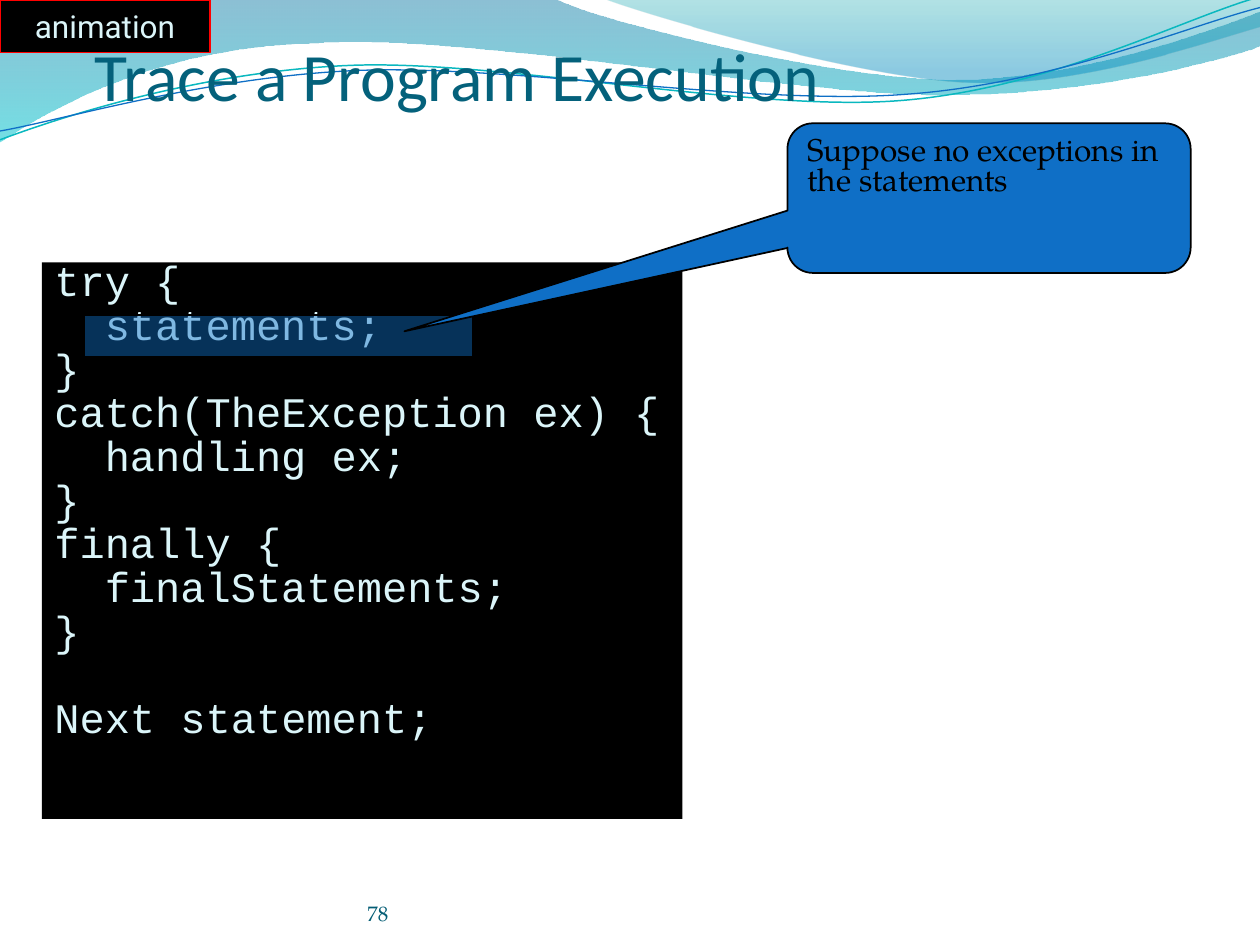
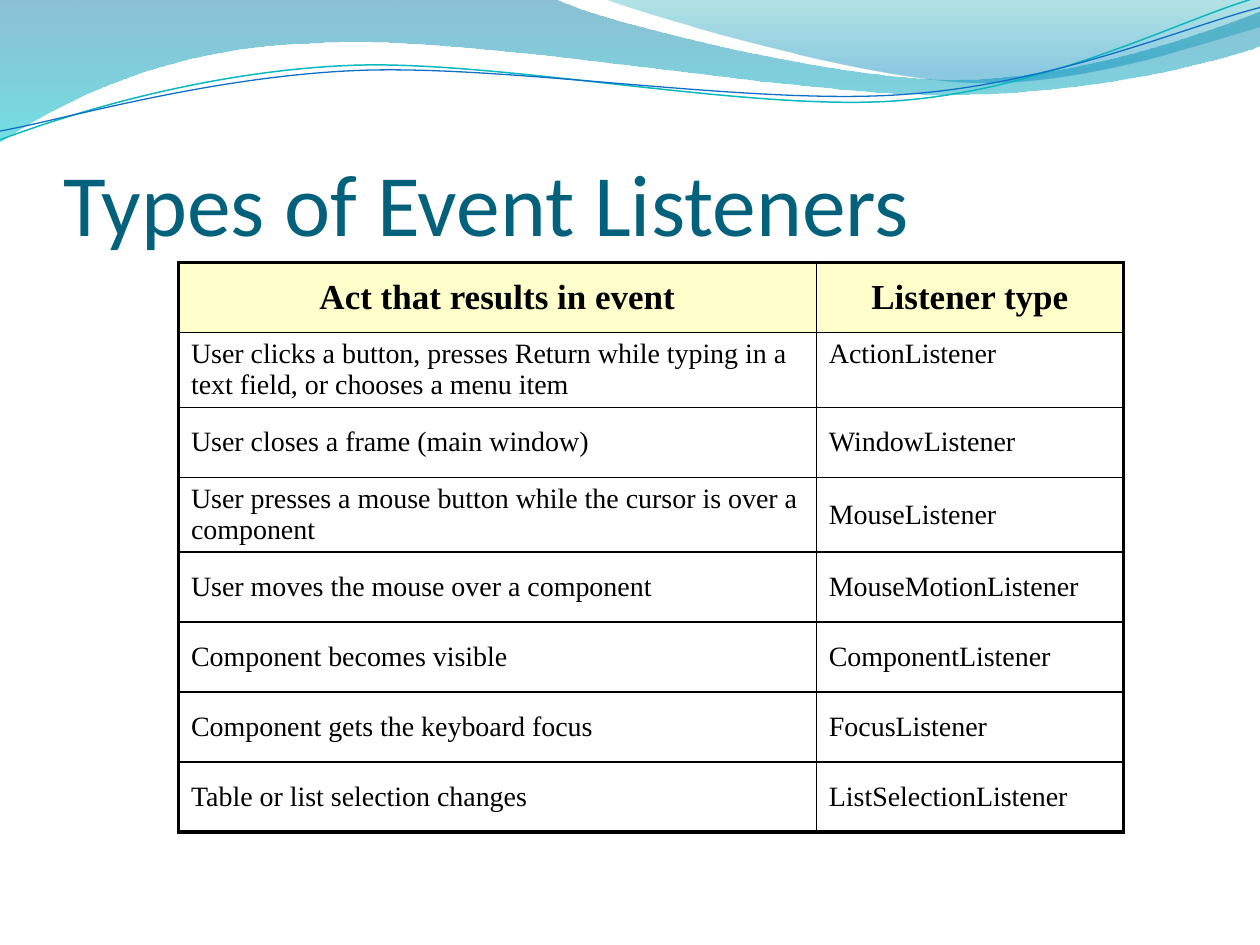
import pptx
import pptx.dml.color
import pptx.enum.shapes
import pptx.enum.text
import pptx.oxml.ns
import pptx.util
from lxml import etree

Pt = pptx.util.Pt
Inches = pptx.util.Inches
qn = pptx.oxml.ns.qn
ALIGN = pptx.enum.text.PP_ALIGN
ANCHOR = pptx.enum.text.MSO_ANCHOR
SHAPE = pptx.enum.shapes.MSO_SHAPE

COLS, ROWS = 120, 90  # grid on the 10 x 7.5 inch slide

HUES = {
    "black": "000000", "red": "FF0000", "blue": "0F6FC6", "teal": "0AB8BF",
    "title": "04617B", "page": "045D75", "pale": "DBF5F9", "cream": "FFFFCC",
    "deep": "0074A1", "aqua": "00C6CF", "sea": "00A1A9", "sky": "008BBF",
}
SERIF = "TeX Gyre Pagella"

# Each wave: start, then line (2 numbers) or curve (6 numbers) steps in inches.
BANDS = [
    ([(0, 0), (4.4, -0.01), (4.76, 0.17, 6.64, 0.63, 7.58, 0.63),
      (8.53, 0.63, 9.58, 0.26, 10, 0.09), (10.01, 0.36),
      (9.83, 0.44, 8.7, 0.76, 7.46, 0.75), (6.22, 0.75, 3.82, 0.28, 2.57, 0.34),
      (1.29, 0.36, 0.46, 0.83, -0.01, 1.13), (0, 0)],
     [(0, "deep", 45), (1, "aqua", 55)]),
    ([(4.79, -0.01), (5.09, 0.11, 6.82, 0.62, 7.69, 0.65),
      (8.56, 0.69, 9.61, 0.32, 10, 0.21), (10, 0), (4.79, -0.01)],
     [(0, "sea", 30), (0.8, "sky", 45)]),
]
CURVES = [
    ([(0, 1.11), (0.48, 0.93, 1.58, 0.57, 2.77, 0.52),
      (3.95, 0.47, 5.93, 0.89, 7.13, 0.8), (8.33, 0.71, 9.38, 0.15, 9.98, -0.02)],
     "teal", 0.85),
    ([(0, 1.04), (0.47, 0.96, 1.64, 0.61, 2.83, 0.56),
      (4.03, 0.51, 5.97, 0.84, 7.17, 0.75), (8.36, 0.67, 9.41, 0.21, 10, 0.06)],
     "blue", 0.75),
]

# Code lines: indent in characters, text, blank lines before.
CODE = [
    (0, "try {", 0), (2, "statements;", 0), (0, "}", 0),
    (0, "catch(TheException ex) {", 0), (2, "handling ex;", 0), (0, "}", 0),
    (0, "finally {", 0), (2, "finalStatements;", 0), (0, "}", 0),
    (0, "Next statement;", 1),
]

EVENTS = [
    ("Act that results in event", "Listener type"),
    ("User clicks a button, presses Return while typing in a text field, "
     "or chooses a menu item", "ActionListener"),
    ("User closes a frame (main window)", "WindowListener"),
    ("User presses a mouse button while the cursor is over a component",
     "MouseListener"),
    ("User moves the mouse over a component", "MouseMotionListener"),
    ("Component becomes visible", "ComponentListener"),
    ("Component gets the keyboard focus", "FocusListener"),
    ("Table or list selection changes", "ListSelectionListener"),
]


def rgb(hue):
    return pptx.dml.color.RGBColor.from_string(HUES[hue])


def grid(*cells):
    """Turn grid steps into lengths."""
    return [Inches(cell * 10 / COLS) for cell in cells]


def fade(shape, *shares):
    """Set the opacity, in percent, of the shape's fill colours in turn."""
    for tint, share in zip(shape.element.spPr.iter(qn("a:srgbClr")), shares):
        etree.SubElement(tint, qn("a:alpha"), val=str(share * 1000))


def add_run(para, text, size, font, hue, bold=False):
    run = para.add_run()
    run.text = text
    run.font.size = Pt(size)
    run.font.name = font
    run.font.bold = bold
    run.font.color.rgb = rgb(hue)


def set_frame(frame, anchor, inset=None, wrap=True):
    """Set anchor, wrap and, where given, left, top, right, bottom insets."""
    frame.word_wrap = wrap
    frame.auto_size = pptx.enum.text.MSO_AUTO_SIZE.NONE
    frame.vertical_anchor = anchor
    if inset:
        (frame.margin_left, frame.margin_top,
         frame.margin_right, frame.margin_bottom) = map(Inches, inset)


def add_box(slide, kind, at, fill, line=None):
    box = slide.shapes.add_shape(kind, *grid(*at))
    box.shadow.inherit = False
    box.fill.solid()
    box.fill.fore_color.rgb = rgb(fill)
    if line:
        box.line.color.rgb = rgb(line)
        box.line.width = Pt(1)
    else:
        box.line.fill.background()
    return box


def add_wave(slide, steps, close):
    """Lay lines through all points, then bend each triple into one curve."""
    dots = [(Inches(step[k]), Inches(step[k + 1]))
            for step in steps for k in range(0, len(step), 2)]
    pen = slide.shapes.build_freeform(*dots[0])
    pen.add_line_segments(dots[1:], close=close)
    wave = pen.convert_to_shape()
    wave.shadow.inherit = False
    legs = iter(list(wave.element.spPr.iter(qn("a:lnTo"))))
    for step in steps[1:]:
        leg = next(legs)
        if len(step) == 6:
            leg.tag = qn("a:cubicBezTo")
            for _ in range(2):
                spare = next(legs)
                leg.append(spare[0])
                spare.getparent().remove(spare)
    return wave


def add_waves(slide):
    """Draw the header waves and hand them to the layout, behind its parts."""
    waves = []
    for steps, stops in BANDS:
        wave = add_wave(slide, steps, True)
        wave.line.fill.background()
        wave.fill.gradient()
        wave.fill.gradient_angle = 270
        for stop, (place, hue, _) in zip(wave.fill.gradient_stops, stops):
            stop.position = place
            stop.color.rgb = rgb(hue)
        fade(wave, *[share for _, _, share in stops])
        waves.append(wave)
    for steps, hue, width in CURVES:
        wave = add_wave(slide, steps, False)
        wave.fill.background()
        wave.line.color.rgb = rgb(hue)
        wave.line.width = Pt(width)
        waves.append(wave)
    tree = slide.slide_layout.shapes.element
    for spot, wave in enumerate(waves, 2):
        tree.insert(spot, wave.element)


def set_title(slide, text, at, size):
    title = slide.shapes.title
    title.left, title.top, title.width, title.height = grid(*at)
    set_frame(title.text_frame, ANCHOR.BOTTOM, (0, 0.05, 0, 0))
    para = title.text_frame.paragraphs[0]
    para.alignment = ALIGN.LEFT
    add_run(para, text, size, "Calibri", "title")


def add_page(slide, text):
    box = slide.shapes.add_textbox(*grid(35, 83.4, 44, 4.8))
    set_frame(box.text_frame, ANCHOR.BOTTOM, (0, 0, 0, 0))
    add_run(box.text_frame.paragraphs[0], text, 12, SERIF, "page")


def add_tag(slide, text):
    tag = add_box(slide, SHAPE.RECTANGLE, (0, 0, 20, 5), "black", "red")
    set_frame(tag.text_frame, ANCHOR.MIDDLE, wrap=False)
    para = tag.text_frame.paragraphs[0]
    para.alignment = ALIGN.CENTER
    add_run(para, text, 18, "Roboto", "pale")


def add_code(slide, lines):
    size, gap, pitch = 24, 4.8, 25
    box = add_box(slide, SHAPE.RECTANGLE, (4, 25, 61, 53), "black")
    frame = box.text_frame
    set_frame(frame, ANCHOR.TOP)
    for i, (depth, text, blank) in enumerate(lines):
        para = frame.add_paragraph() if i else frame.paragraphs[0]
        para.alignment = ALIGN.LEFT
        para.line_spacing = 0.7
        para.space_before = Pt(gap + blank * pitch)
        para._p.get_or_add_pPr().set("marL", str(Pt(depth * 0.6 * size)))
        add_run(para, text, size, "Courier New", "pale")


def add_callout(slide, text):
    note = add_box(slide, SHAPE.ROUNDED_RECTANGULAR_CALLOUT,
                   (75, 11.75, 38.4, 14.25), "blue", "black")
    for i, bend in enumerate((-1.45, 0.89, 0.17)):
        note.adjustments[i] = bend
    set_frame(note.text_frame, ANCHOR.TOP)
    para = note.text_frame.paragraphs[0]
    para.alignment = ALIGN.LEFT
    para.line_spacing = 0.8
    para.space_before = Pt(3.6)
    add_run(para, text, 18, SERIF, "black")


def set_edges(cell, outer):
    """Draw the four cell borders; those on the table's rim are thick."""
    props = cell._tc.get_or_add_tcPr()
    for side in "LRTB":
        width = Pt(2.25 if side in outer else 1)
        edge = etree.SubElement(props, qn("a:ln" + side), w=str(width))
        fill = etree.SubElement(edge, qn("a:solidFill"))
        etree.SubElement(fill, qn("a:srgbClr"), val=HUES["black"])


def add_events(slide, rows):
    high = 6.67
    table = slide.shapes.add_table(
        len(rows), 2, *grid(17, 25, 90, high * len(rows))).table
    table.first_row = table.horz_banding = False
    for col, wide in zip(table.columns, grid(60.75, 29.25)):
        col.width = wide
    for r, texts in enumerate(rows):
        table.rows[r].height = grid(high)[0]
        for c, text in enumerate(texts):
            cell = table.cell(r, c)
            rim = "LR"[c] + ("T" if r == 0 else "B" if r == len(rows) - 1 else "")
            set_edges(cell, rim)
            head = r == 0
            if head:
                cell.fill.solid()
                cell.fill.fore_color.rgb = rgb("cream")
            else:
                cell.fill.background()
            cell.vertical_anchor = ANCHOR.TOP if r == 1 else ANCHOR.MIDDLE
            para = cell.text_frame.paragraphs[0]
            para.alignment = ALIGN.CENTER if head else ALIGN.LEFT
            add_run(para, text, 20 if head else 16, "Times New Roman", "black", head)


def main():
    deck = pptx.Presentation()
    deck.slide_width, deck.slide_height = grid(COLS, ROWS)
    layout = deck.slide_layouts.get_by_name("Title Only")

    trial = deck.slides.add_slide(layout)
    add_waves(trial)
    add_page(trial, "78")
    set_title(trial, "Trace a Program Execution", (9, 4, 102, 7), 38.7)
    add_tag(trial, "animation")
    add_code(trial, CODE)
    mark = add_box(trial, SHAPE.RECTANGLE, (8, 30, 37, 4), "blue", "black")
    fade(mark, 45)
    add_callout(trial, "Suppose no exceptions in the statements")

    types = deck.slides.add_slide(layout)
    set_title(types, "Types of Event Listeners", (6, 9.2, 108, 15), 50)
    add_events(types, EVENTS)

    deck.save("out.pptx")


if __name__ == "__main__":
    main()
